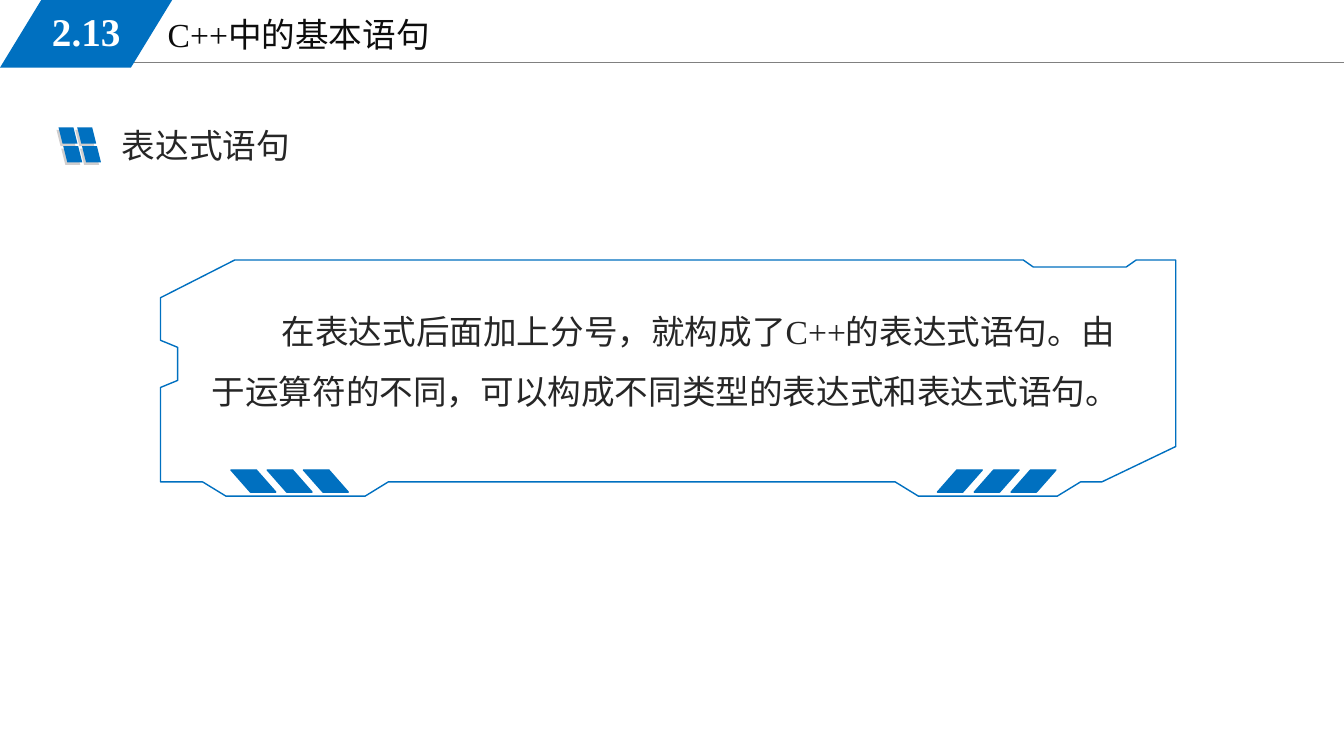
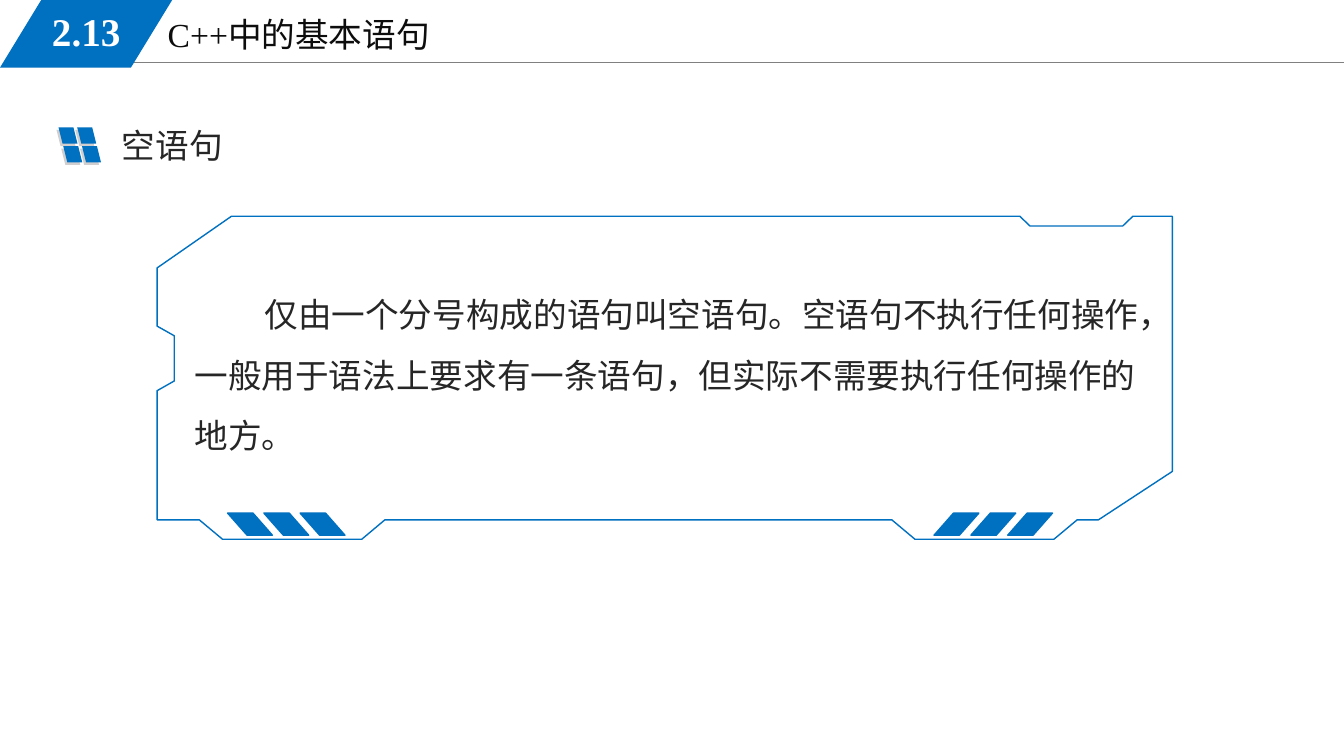
"""Build two slides on basic C++ statements."""
from dataclasses import dataclass

from lxml import etree
from pptx import Presentation
from pptx.dml.color import RGBColor
from pptx.enum.shapes import MSO_CONNECTOR, MSO_SHAPE
from pptx.enum.text import MSO_ANCHOR, MSO_AUTO_SIZE, PP_ALIGN
from pptx.oxml.ns import qn
from pptx.util import Pt

PARALLELOGRAM = MSO_SHAPE.PARALLELOGRAM
STRAIGHT = MSO_CONNECTOR.STRAIGHT
TOP, MIDDLE = MSO_ANCHOR.TOP, MSO_ANCHOR.MIDDLE
LEFT, CENTER = PP_ALIGN.LEFT, PP_ALIGN.CENTER
NO_AUTOFIT = MSO_AUTO_SIZE.NONE


@dataclass(frozen=True)
class Theme:
    blue: RGBColor = RGBColor(0x00, 0x70, 0xC0)
    rule: RGBColor = RGBColor(0x80, 0x80, 0x80)
    shade: RGBColor = RGBColor(0xD0, 0xCE, 0xCE)
    title: RGBColor = RGBColor(0x0D, 0x0D, 0x0D)
    text: RGBColor = RGBColor(0x26, 0x26, 0x26)
    white: RGBColor = RGBColor(0xFF, 0xFF, 0xFF)
    latin: str = "Times New Roman"
    chinese: str = "Noto Sans CJK SC"
    text_size: int = 24
    number_size: int = 28


THEME = Theme()

TOPICS = [
    {
        "heading": "表达式语句",
        "body": "在表达式后面加上分号，就构成了C++的表达式语句。"
                "由于运算符的不同，可以构成不同类型的表达式和表达式语句。",
        "font": THEME.latin,
        "body_box": (144, 203.8, 672, 89.3),
        "frame": (114.6, 185.7, 168.7),
    },
    {
        "heading": "空语句",
        "body": "仅由一个分号构成的语句叫空语句。空语句不执行任何操作，"
                "一般用于语法上要求有一条语句，但实际不需要执行任何操作的地方。",
        "font": THEME.chinese,
        "body_box": (131.8, 192.2, 696, 133.2),
        "frame": (112.2, 154.5, 230.7),
    },
]

# x in points from the frame's left edge, y as a share of its height
FRAME_OUTLINE = [
    (541.4, 1), (640.6, 1), (657.2, 0.94), (672.4, 0.94), (725.2, 0.79),
    (725.2, 0), (697, 0), (689.8, 0.03), (623.5, 0.03), (616.3, 0),
    (53.1, 0), (0, 0.16), (0, 0.34), (12.3, 0.37), (12.3, 0.51),
    (0, 0.54), (0, 0.94), (30.2, 0.94), (46.8, 1), (146.2, 1),
    (162.7, 0.94), (524.9, 0.94),
]


def write(frame, text, color, font, size=THEME.text_size, align=LEFT, anchor=TOP):
    frame.text = text
    frame.word_wrap = True
    frame.auto_size = NO_AUTOFIT
    frame.vertical_anchor = anchor
    paragraph = frame.paragraphs[0]
    paragraph.alignment = align
    run = paragraph.runs[0]
    run.font.size = Pt(size)
    run.font.color.rgb = color
    run.font.name = font
    east_asian = etree.SubElement(run.font._element, qn("a:ea"))
    east_asian.set("typeface", THEME.chinese)
    return paragraph


def add_slant(shapes, box, color, slant=0.25, flip=False, outlined=False):
    slanted = shapes.add_shape(PARALLELOGRAM, *map(Pt, box))
    slanted.adjustments[0] = slant
    slanted.shadow.inherit = False
    slanted.fill.solid()
    slanted.fill.fore_color.rgb = color
    if outlined:
        slanted.line.color.rgb = color
        slanted.line.width = Pt(1)
    else:
        slanted.line.fill.background()
    if flip:
        slanted.element.spPr.get_or_add_xfrm().set("flipH", "1")
    return slanted


prs = Presentation()
prs.slide_width, prs.slide_height = Pt(960), Pt(540)
layout = prs.slide_layouts[1]
layout_title = layout.placeholders[0]
layout_title.left, layout_title.top = Pt(112.6), Pt(6.5)
layout_title.width, layout_title.height = Pt(408), Pt(36.4)
slides = [prs.slides.add_slide(layout) for _ in TOPICS]

band = slides[0].shapes
header_rule = band.add_connector(STRAIGHT, Pt(81.4), Pt(44.4), Pt(960), Pt(44.4))
header_rule.line.color.rgb = THEME.rule
header_rule.line.width = Pt(0.75)
etree.SubElement(header_rule.element.spPr, qn("a:effectLst"))
section_tab = add_slant(band, (0, 0, 123, 48.3), THEME.blue, slant=0.61)
section_number = band.add_textbox(Pt(18), Pt(1.4), Pt(87.1), Pt(41.8))
number = write(section_number.text_frame, "2.13", THEME.white, THEME.latin,
               THEME.number_size, CENTER, MIDDLE)
number.runs[0].font.bold = True
for shape_id, part in enumerate((header_rule, section_tab, section_number), 100):
    part.element.xpath(".//p:cNvPr")[0].set("id", str(shape_id))
    layout.shapes.element.append(part.element)

for slide, topic in zip(slides, TOPICS):
    write(slide.shapes.title.text_frame, "C++中的基本语句", THEME.title, THEME.latin)

    body = slide.placeholders[1]
    body.left, body.top, body.width, body.height = map(Pt, topic["body_box"])
    statement = write(body.text_frame, topic["body"], THEME.text, topic["font"])
    statement.line_spacing = 1.5
    statement.space_before = Pt(0)
    properties = statement._p.get_or_add_pPr()
    properties.set("marL", "0")
    properties.set("indent", str(Pt(50)))
    etree.SubElement(properties, qn("a:buNone"))

    icon = slide.shapes.add_group_shape()
    for left, top, color in ((40.4, 92.7, THEME.shade), (41.8, 90.9, THEME.blue)):
        for column in range(2):
            for row in range(2):
                tile = (left + 13.4 * column + 3.4 * row, top + 13.4 * row, 13.6, 11.7)
                add_slant(icon.shapes, tile, color, flip=True)

    heading = slide.shapes.add_textbox(Pt(80), Pt(85.7), Pt(169.2), Pt(36.3))
    write(heading.text_frame, topic["heading"], THEME.text, THEME.chinese)

    frame_left, frame_top, frame_height = topic["frame"]
    corners = [(Pt(frame_left + x), Pt(frame_top + share * frame_height))
               for x, share in FRAME_OUTLINE]
    frame_group = slide.shapes.add_group_shape()
    builder = frame_group.shapes.build_freeform(*corners[0])
    builder.add_line_segments(corners[1:], close=True)
    outline = builder.convert_to_shape()
    outline.shadow.inherit = False
    outline.fill.background()
    outline.line.color.rgb = THEME.blue
    outline.line.width = Pt(1)

    stripe_top = frame_top + frame_height - 18.7
    for offset, step, flip in ((50.4, 25.9, True), (555, 26.3, False)):
        for index in range(3):
            stripe = (frame_left + offset + step * index, stripe_top, 32, 15.8)
            add_slant(frame_group.shapes, stripe, THEME.blue, 0.88, flip, outlined=True)

prs.save("out.pptx")
